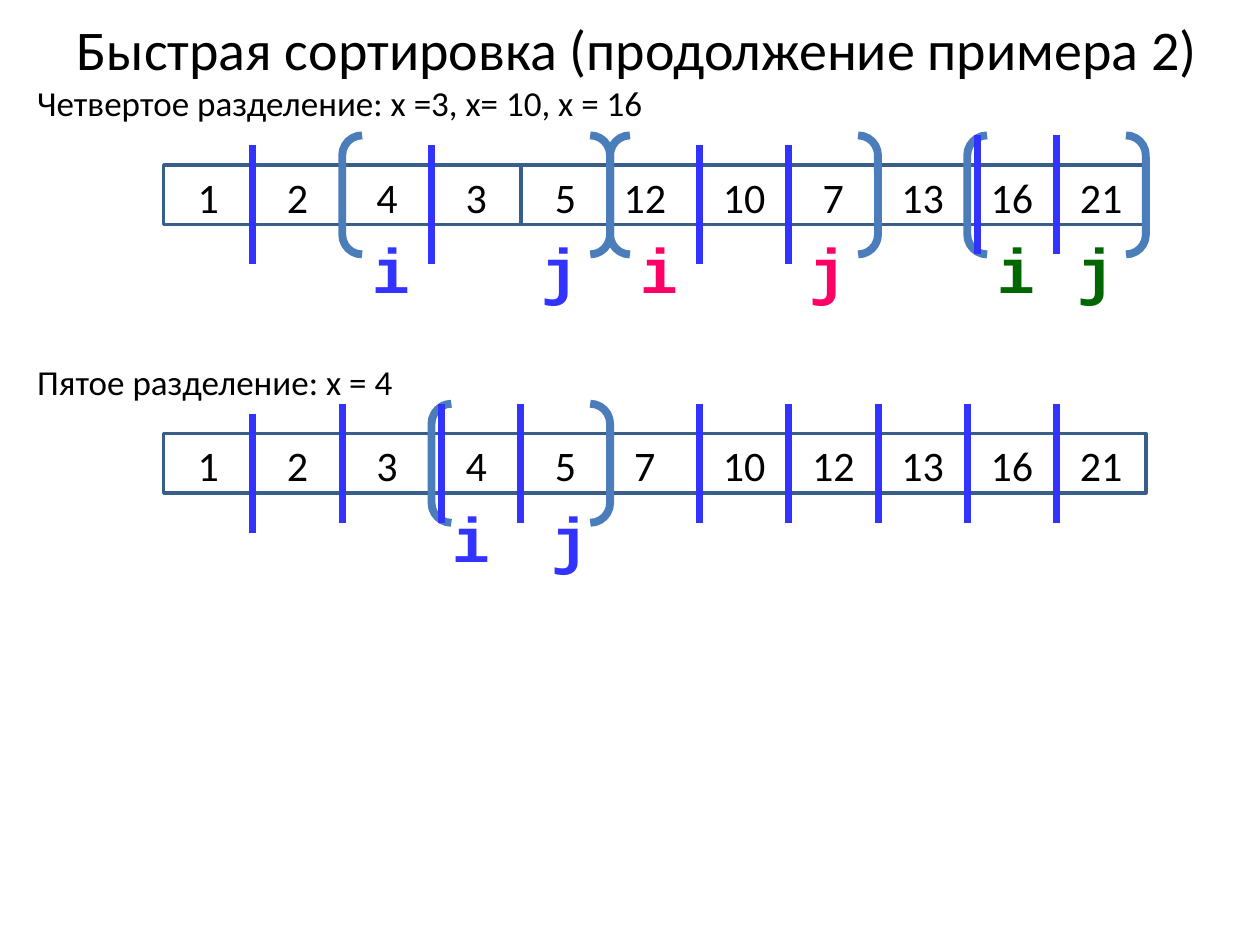
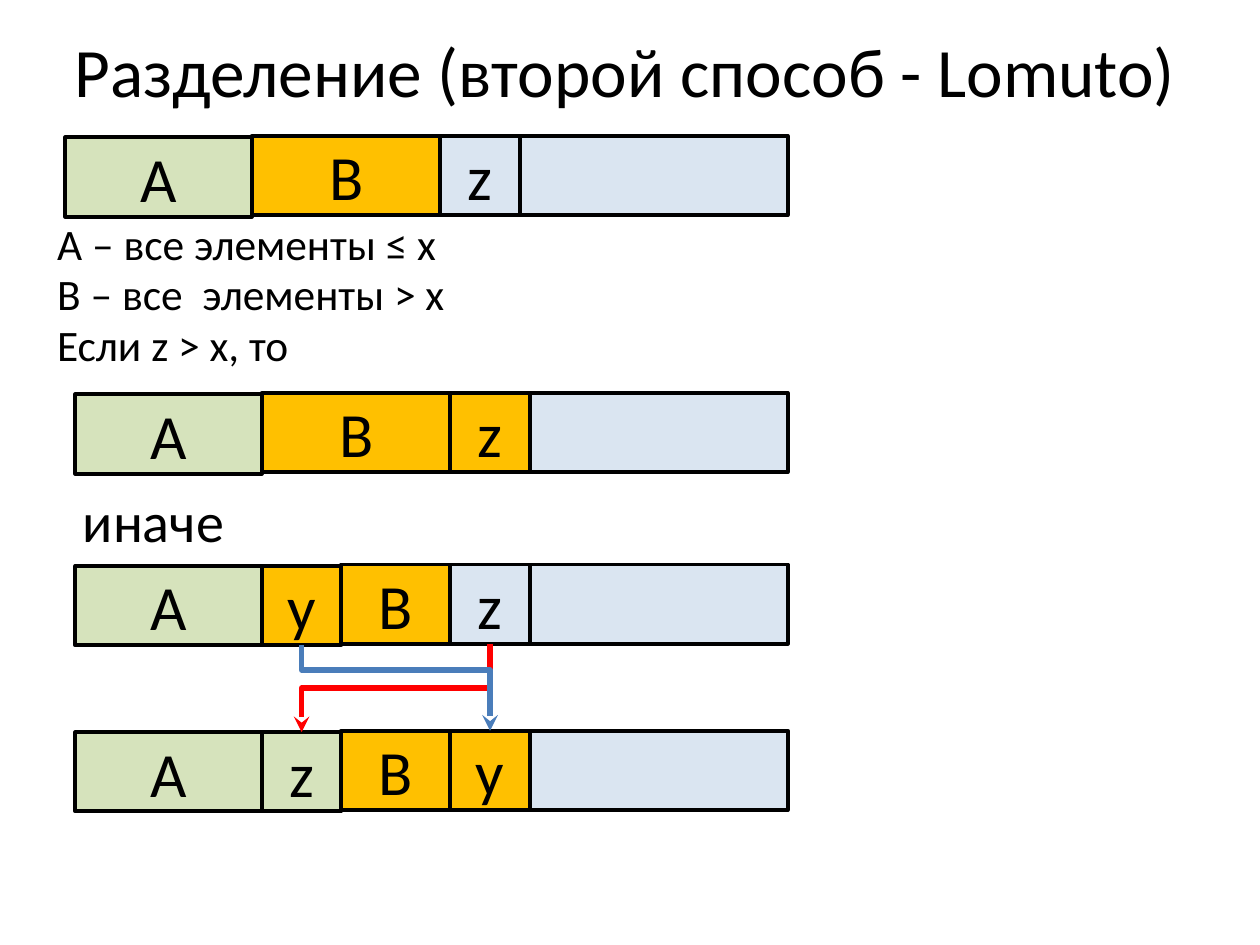
"""Build two slides on quicksort: partition steps and the Lomuto scheme."""
from lxml.etree import SubElement
from pptx import Presentation
from pptx.dml.color import RGBColor
from pptx.enum.shapes import MSO_CONNECTOR as Link, MSO_SHAPE as Preset
from pptx.enum.text import MSO_ANCHOR as Anchor, MSO_AUTO_SIZE as Fit, PP_ALIGN as Align
from pptx.oxml.ns import qn
from pptx.util import Cm, Pt

BLACK = RGBColor(0x00, 0x00, 0x00)
CELL_EDGE = RGBColor(0x39, 0x5E, 0x89)
STEEL = RGBColor(0x4A, 0x7D, 0xBA)
BLUE = RGBColor(0x33, 0x33, 0xFF)
PINK = RGBColor(0xFF, 0x00, 0x66)
DARK_GREEN = RGBColor(0x00, 0x66, 0x00)
RED = RGBColor(0xFF, 0x00, 0x00)
GREEN = RGBColor(0xD6, 0xE3, 0xBC)
AMBER = RGBColor(0xFF, 0xC0, 0x00)
PALE = RGBColor(0xDA, 0xE5, 0xF1)

TITLE_ONLY, TITLE_AND_BODY = 5, 1
BOTTOM, TOP = 2, 0
GRID_LEFT, CELL = 3.3, 1.8
NUDGE = 0.2
MARK_HEIGHT = 2.4
BAR_HEIGHT = 1.6
BAR_STEP = 0.03


def set_values(target, values):
    for name, value in values.items():
        setattr(target, name, value)


def column_left(column, shift=0):
    return GRID_LEFT + CELL * column + shift


class Painter:
    """Holds the text style and the current slide."""

    def __init__(self, deck):
        self.deck = deck
        self.slide = None

    def new_slide(self, layout, title, area, size):
        self.slide = self.deck.slides.add_slide(self.deck.slide_layouts[layout])
        box = self.slide.shapes.title
        self.place(box, area)
        self.fill_text(box, [title], size, align=Align.CENTER, anchor=Anchor.MIDDLE)

    def place(self, box, area):
        set_values(box, dict(zip(("left", "top", "width", "height"), map(Cm, area))))

    def fill_text(self, box, lines, size, color=BLACK, font="Calibri", bold=False,
                  align=Align.LEFT, anchor=Anchor.TOP, fit=Fit.NONE):
        frame = box.text_frame
        set_values(frame, {"word_wrap": True, "auto_size": fit, "vertical_anchor": anchor})
        for number, line in enumerate(lines):
            para = frame.add_paragraph() if number else frame.paragraphs[0]
            para.alignment = align
            span = para.add_run()
            span.text = line
            set_values(span.font, {"size": Pt(size), "name": font, "bold": bold})
            span.font.color.rgb = color

    def body(self, lines, area, size):
        box = self.slide.placeholders[1]
        self.place(box, area)
        self.fill_text(box, lines, size)
        for number, para in enumerate(box.text_frame.paragraphs):
            set_values(para, {"line_spacing": 0.8, "space_before": Pt(5 if number else 0)})
            properties = para._p.get_or_add_pPr()
            properties.set("marL", "0")
            properties.set("indent", "0")
            SubElement(properties, qn("a:buNone"))

    def text(self, words, area, size, **style):
        box = self.slide.shapes.add_textbox(*map(Cm, area))
        self.fill_text(box, [words], size, fit=Fit.SHAPE_TO_FIT_TEXT, **style)

    def shape(self, preset, area, edge, weight, fill=None):
        box = self.slide.shapes.add_shape(preset, *map(Cm, area))
        box.shadow.inherit = False
        if fill is None:
            box.fill.background()
        else:
            box.fill.solid()
            box.fill.fore_color.rgb = fill
        box.line.color.rgb = edge
        box.line.width = Pt(weight)
        return box

    def connector(self, kind, ends, color, weight):
        line = self.slide.shapes.add_connector(kind, *ends)
        line.line.color.rgb = color
        line.line.width = Pt(weight)
        SubElement(line.element.spPr, qn("a:effectLst"))
        return line

    def divider(self, x, y):
        self.connector(Link.STRAIGHT, map(Cm, (x, y, x, y + MARK_HEIGHT)), BLUE, 4)

    def swap_arrow(self, source, target, color, bend):
        start_x, end_x = (box.left + box.width // 2 for box in (source, target))
        start_y, end_y = source.top + source.height, target.top
        arrow = self.connector(Link.ELBOW, (start_x, start_y, end_x, end_y), color, 3)
        arrow.begin_connect(source, BOTTOM)
        arrow.end_connect(target, TOP)
        drop, run = end_y - start_y, abs(end_x - start_x)
        set_values(arrow, {"left": (start_x + end_x - drop) // 2,
                           "top": (start_y + end_y - run) // 2,
                           "width": drop, "height": run})
        rightward = end_x > start_x
        properties = arrow.element.spPr
        frame = properties.find(qn("a:xfrm"))
        frame.set("rot", str((270 if rightward else 90) * 60000))
        frame.set("flipH", "1" if rightward else "0")
        geometry = properties.find(qn("a:prstGeom"))
        guides = geometry.find(qn("a:avLst"))
        if guides is None:
            guides = SubElement(geometry, qn("a:avLst"))
        SubElement(guides, qn("a:gd"), name="adj1", fmla=f"val {round(bend * 100000)}")
        SubElement(properties.find(qn("a:ln")), qn("a:tailEnd"), type="stealth")

    def array(self, top, values, brackets, markers, dividers):
        for column in range(len(values)):
            self.shape(Preset.RECTANGLE, (column_left(column), top, CELL, 1.2), CELL_EDGE, 2)
        for column, value in enumerate(values):
            left = column_left(column, -NUDGE if column == 5 else 0)
            self.text(str(value), (left, top, CELL, 1.27), 24, align=Align.CENTER)
        for column, count in brackets:
            area = (column_left(column), top - 0.6, count * CELL, MARK_HEIGHT)
            self.shape(Preset.DOUBLE_BRACKET, area, STEEL, 4.5)
        for letter, column, shift, color in markers:
            self.text(letter, (column_left(column, shift), top + 1.2, 1.6, 1.8), 36,
                      color=color, font="Courier New", bold=True, align=Align.CENTER)
        for column, shift, rise in dividers:
            self.divider(column_left(column, shift), top - rise)

    def bar(self, left, top, parts):
        boxes = {}
        for name, width, fill, step in parts:
            area = (left, top + step, width, BAR_HEIGHT)
            box = self.shape(Preset.RECTANGLE, area, BLACK, 2.25, fill)
            if name:
                self.fill_text(box, [name], 36, align=Align.CENTER, anchor=Anchor.MIDDLE)
            boxes[name] = box
            left += width
        return boxes


def draw_example(painter):
    painter.new_slide(TITLE_ONLY, "Быстрая сортировка (продолжение примера 2)",
                      (0.3, 0, 25.1, 1.96), 32)
    painter.text("Четвертое разделение: x =3, x= 10, x = 16", (0.5, 1.52, 15.6, 1.12), 20)
    painter.array(
        3.33, (1, 2, 4, 3, 5, 12, 10, 7, 13, 16, 21),
        brackets=((2, 3), (5, 3), (9, 2)),
        markers=(("i", 2, NUDGE, BLUE), ("j", 4, 0, BLUE), ("i", 5, NUDGE, PINK),
                 ("j", 7, 0, PINK), ("i", 9, NUDGE, DARK_GREEN), ("j", 10, 0, DARK_GREEN)),
        dividers=[(column, 0, 0.4) for column in (1, 3, 6, 7)]
        + [(9, NUDGE, 0.6), (10, 0, 0.6)])
    painter.text("Пятое разделение: x = 4", (0.5, 7.14, 15.6, 1.12), 20)
    painter.array(
        8.74, (1, 2, 3, 4, 5, 7, 10, 12, 13, 16, 21),
        brackets=((3, 2),),
        markers=(("i", 3, 0, BLUE), ("j", 4, NUDGE, BLUE)),
        dividers=[(1, 0, 0.4), (3, NUDGE, 0.6)]
        + [(column, 0, 0.6) for column in (2, 4, 6, 7, 8, 9, 10)])


def draw_lomuto(painter):
    painter.new_slide(TITLE_AND_BODY, "Разделение (второй способ - Lomuto)",
                      (0.9, 0.54, 23.4, 1.75), 39.6)
    painter.body(("A – все элементы ≤ x", "B – все  элементы > x", "Если z > x, то"),
                 (0.9, 4.45, 22.86, 3.4), 24.8)
    smaller = ("А", 3.76, GREEN, BAR_STEP)
    larger, larger_short = ("B", 3.8, AMBER, 0), ("B", 2.2, AMBER, 0)
    rest = ("", 5.2, PALE, 0)
    painter.bar(1.32, 2.74, (smaller, larger, ("z", 1.6, PALE, 0), ("", 5.4, PALE, 0)))
    painter.bar(1.52, 7.92, (smaller, larger, ("z", 1.6, AMBER, 0), rest))
    painter.text("иначе", (1.42, 9.68, 4.1, 1.62), 32)
    before = painter.bar(1.52, 11.38, (smaller, ("y", 1.6, AMBER, BAR_STEP), larger_short,
                                       ("z", 1.6, PALE, 0), rest))
    after = painter.bar(1.52, 14.73, (smaller, ("z", 1.6, GREEN, BAR_STEP), larger_short,
                                      ("y", 1.6, AMBER, 0), rest))
    painter.swap_arrow(before["z"], after["z"], RED, 0.5)
    painter.swap_arrow(before["y"], after["y"], STEEL, 0.29)


def main():
    deck = Presentation()
    set_values(deck, {"slide_width": Cm(25.4), "slide_height": Cm(19.05)})
    painter = Painter(deck)
    draw_example(painter)
    draw_lomuto(painter)
    deck.save("out.pptx")


if __name__ == "__main__":
    main()
